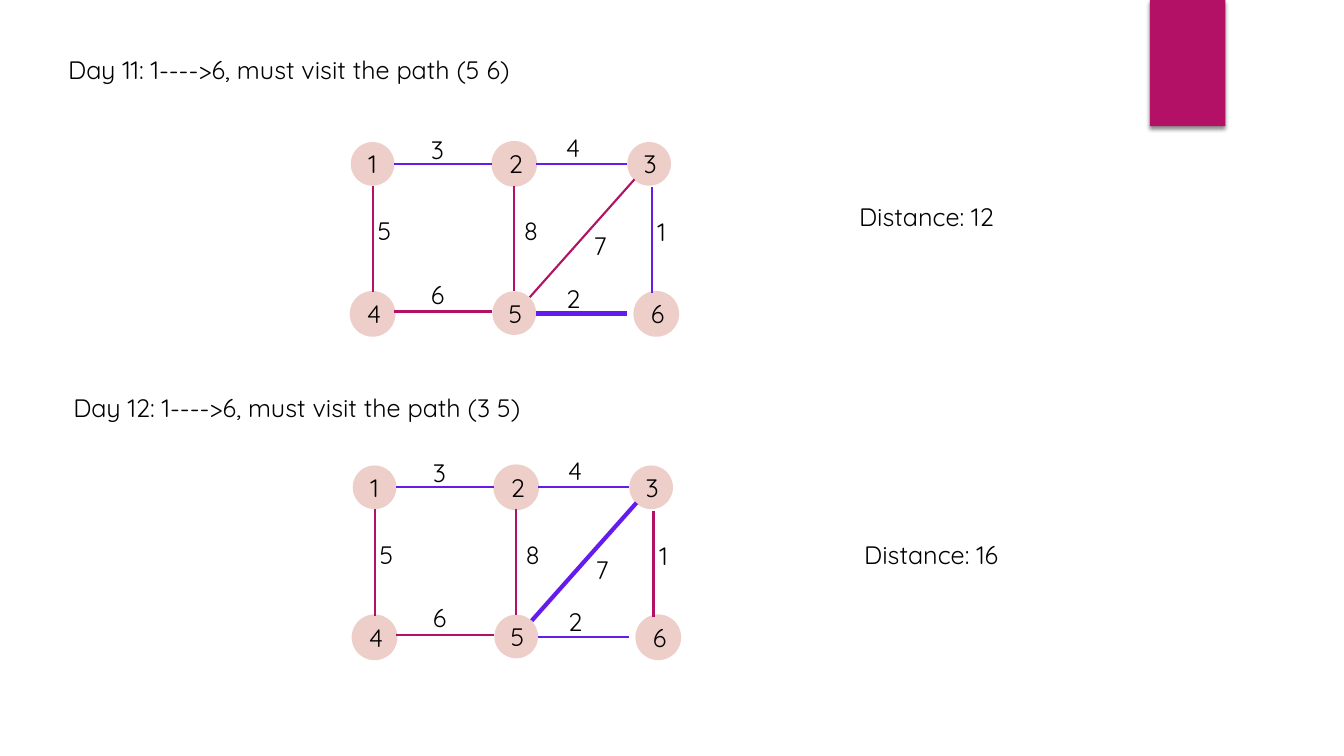
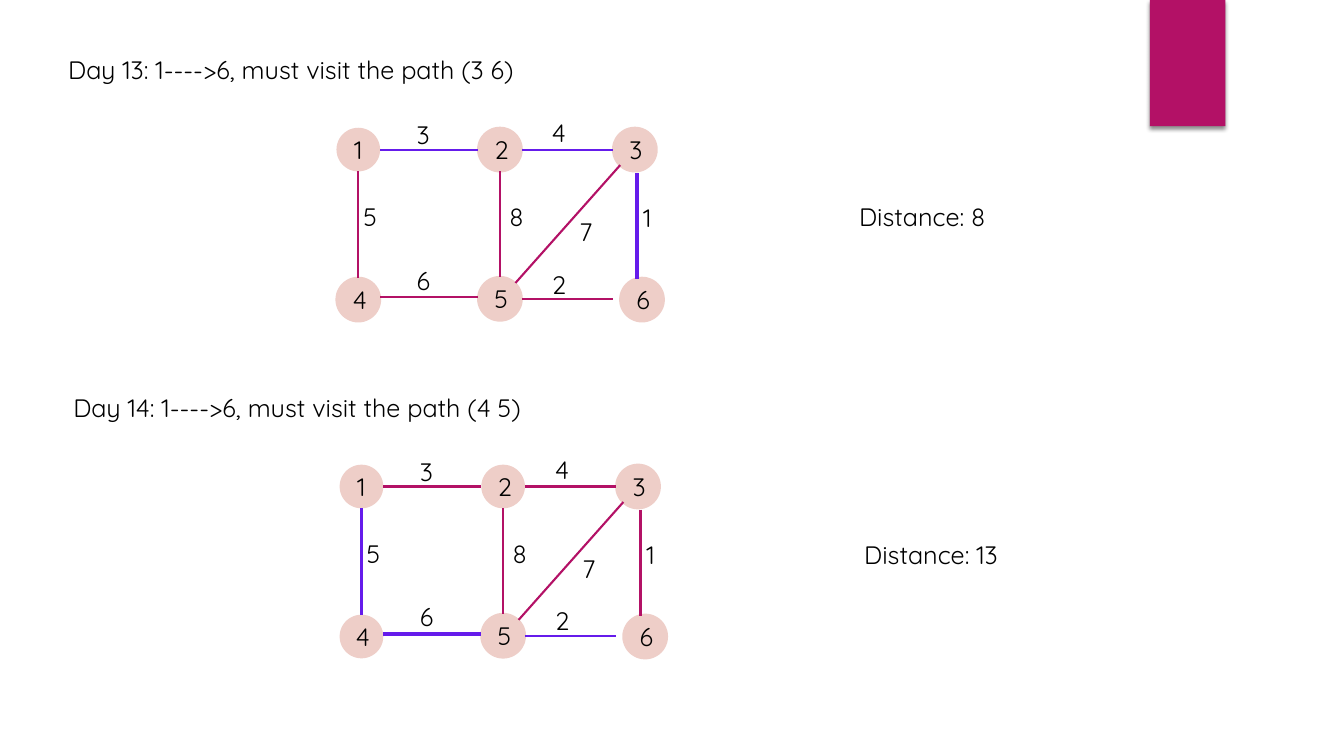
from lxml import etree
from pptx import Presentation
from pptx import util as u
from pptx.dml import color
from pptx.enum import shapes, text
from pptx.oxml import ns

FONT = "Quicksand"
BLACK, BERRY, VIOLET, ROSE = "000000", "B31166", "651BEB", "EECEC8"
NODE = 1.1
PANELS = [(1.47, 1.24), (1.6, 9.75)]
NODES = {"1": (0, 0), "2": (3.57, 0), "3": (6.97, 0),
         "4": (0, 3.78), "5": (3.57, 3.76), "6": (7.15, 3.78)}
EDGES = {
    "14": ((0.55, 1.1), (0.55, 3.78), "5", (0.43, 1.73)),
    "12": ((1.1, 0.55), (3.57, 0.55), "3", (1.77, -0.33)),
    "23": ((4.67, 0.55), (6.97, 0.55), "4", (5.18, -0.38)),
    "25": ((4.11, 1.1), (4.11, 3.76), "8", (4.11, 1.73)),
    "56": ((4.67, 4.32), (6.97, 4.32), "2", (5.18, 3.43)),
    "36": ((7.58, 1.14), (7.58, 3.81), "1", (7.48, 1.75)),
    "45": ((1.1, 4.27), (3.57, 4.27), "6", (1.77, 3.33)),
    "35": ((7.15, 0.94), (4.51, 3.91), "7", (5.87, 2.11)),
}
SLIDES = [
    [dict(day=11, must="56", route=["12", "23", "36", "56"], dist=12,
          rims="246", shift=(7.37, 2.34)),
     dict(day=12, must="35", route=["12", "23", "35", "56"], dist=16,
          rims="246", shift=(7.29, 1.98))],
    [dict(day=13, must="36", route=["12", "23", "36"], dist=8,
          rims="23456", shift=(7.01, 1.98)),
     dict(day=14, must="45", route=["14", "45", "56"], dist=13,
          rims="356", shift=(6.96, 1.96))],
]


def rgb(code):
    """Turn a hex string into a colour."""
    return color.RGBColor.from_string(code)


def write(frame, words, size=18, ink=BLACK, align=text.PP_ALIGN.LEFT,
          anchor=text.MSO_ANCHOR.TOP, wrap=True):
    """Fill a text frame with one formatted paragraph."""
    frame.word_wrap = wrap
    frame.vertical_anchor = anchor
    para = frame.paragraphs[0]
    para.alignment = align
    run = para.add_run()
    run.text = words
    run.font.name = FONT
    run.font.size = u.Pt(size)
    run.font.color.rgb = rgb(ink)


def label(parts, words, x, y, wide):
    """Add a line of text at a place."""
    box = parts.add_textbox(u.Cm(x), u.Cm(y), u.Cm(wide), u.Cm(1.02))
    write(box.text_frame, words)


def solid(parts, kind, x, y, wide, high, fill):
    """Add a filled shape with no line or shadow."""
    shape = parts.add_shape(kind, u.Cm(x), u.Cm(y), u.Cm(wide), u.Cm(high))
    shape.fill.solid()
    shape.fill.fore_color.rgb = rgb(fill)
    shape.line.fill.background()
    shape.shadow.inherit = False
    return shape


def node(parts, name, x, y, rim):
    """Add a numbered circle, with or without a rim."""
    dot = solid(parts, shapes.MSO_SHAPE.OVAL, x, y, NODE, NODE, ROSE)
    if rim:
        dot.line.color.rgb = rgb(ROSE)
        dot.line.width = u.Pt(1.5)
    write(dot.text_frame, name, align=text.PP_ALIGN.CENTER,
          anchor=text.MSO_ANCHOR.MIDDLE)


def edge(parts, start, end, ink, width):
    """Add a straight line between two points."""
    line = parts.add_connector(shapes.MSO_CONNECTOR.STRAIGHT,
                               *(u.Cm(v) for v in (*start, *end)))
    line.line.color.rgb = rgb(ink)
    line.line.width = u.Pt(width)
    etree.SubElement(line._element.spPr, ns.qn("a:effectLst"))


def graph(slide, x, y, must, route, rims):
    """Draw the weighted graph with its route and required edge."""
    parts = slide.shapes.add_group_shape().shapes
    for name, (dx, dy) in NODES.items():
        node(parts, name, x + dx, y + dy, name in rims)
    for key, (start, end, cost, (dx, dy)) in EDGES.items():
        ends = [(x + px, y + py) for px, py in (start, end)]
        edge(parts, *ends, VIOLET if key in route else BERRY,
             3 if key == must else 1.5)
        label(parts, cost, x + dx, y + dy, 1.17)


def panel(slide, x, y, day, must, route, dist, rims, shift):
    """Place one day's heading, distance and graph."""
    label(slide.shapes,
          f"Day {day}: 1---->6, must visit the path ({' '.join(must)})", x, y, 15)
    label(slide.shapes, f"Distance: {dist}", x + 19.93, y + 3.71, 7.16)
    graph(slide, x + shift[0], y + shift[1], must, route, rims)


def band(slide):
    """Add the shadowed band at the top right."""
    bar = solid(slide.shapes, shapes.MSO_SHAPE.RECTANGLE,
                28.98, 0, 1.9, 3.18, BERRY)
    glow = etree.SubElement(
        bar._element.spPr.find(ns.qn("a:effectLst")), ns.qn("a:outerShdw"),
        blurRad=str(u.Pt(3)), dist=str(u.Pt(2)), dir="5400000", rotWithShape="0")
    tint = etree.SubElement(glow, ns.qn("a:srgbClr"), val=BLACK)
    etree.SubElement(tint, ns.qn("a:alpha"), val="45000")


def main():
    """Build and save the slides."""
    deck = Presentation()
    deck.slide_width, deck.slide_height = u.Cm(33.87), u.Cm(19.05)
    for days in SLIDES:
        slide = deck.slides.add_slide(deck.slide_layouts[6])
        band(slide)
        for (x, y), facts in zip(PANELS, days):
            panel(slide, x, y, **facts)
    deck.save("out.pptx")


if __name__ == "__main__":
    main()
